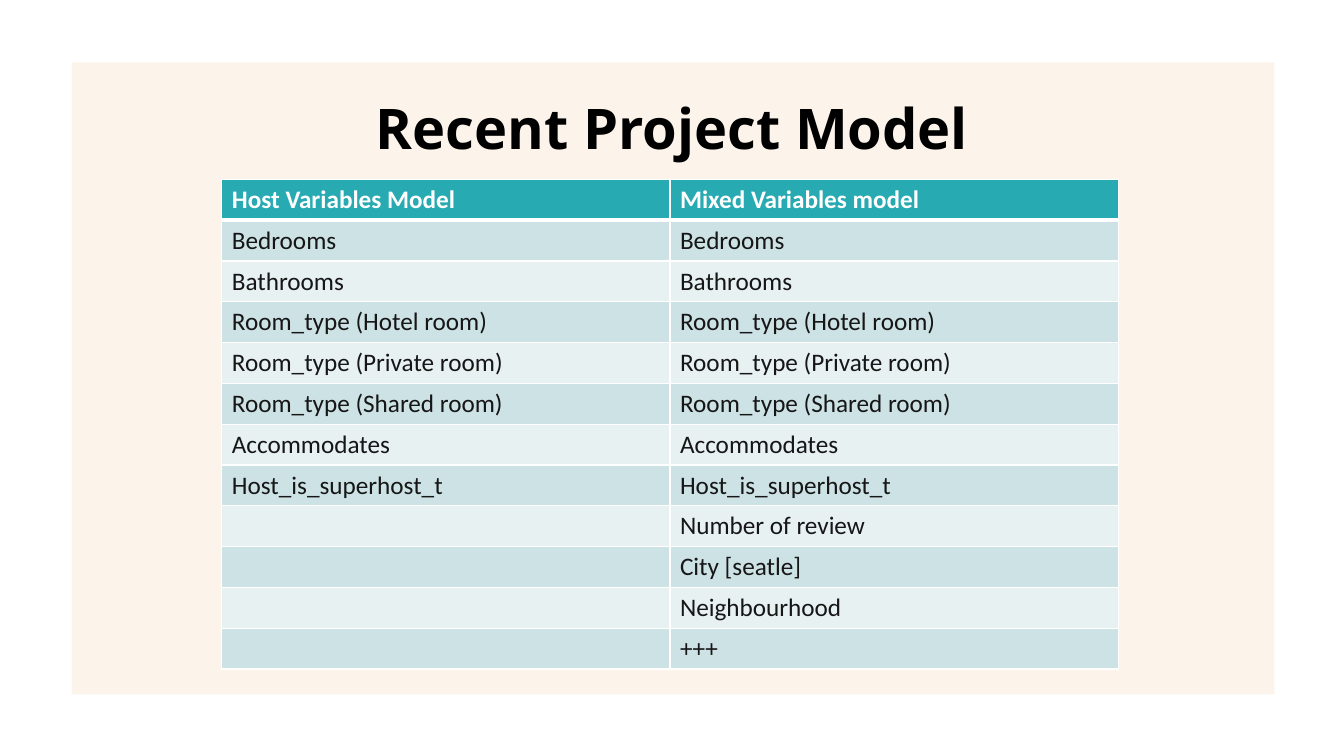
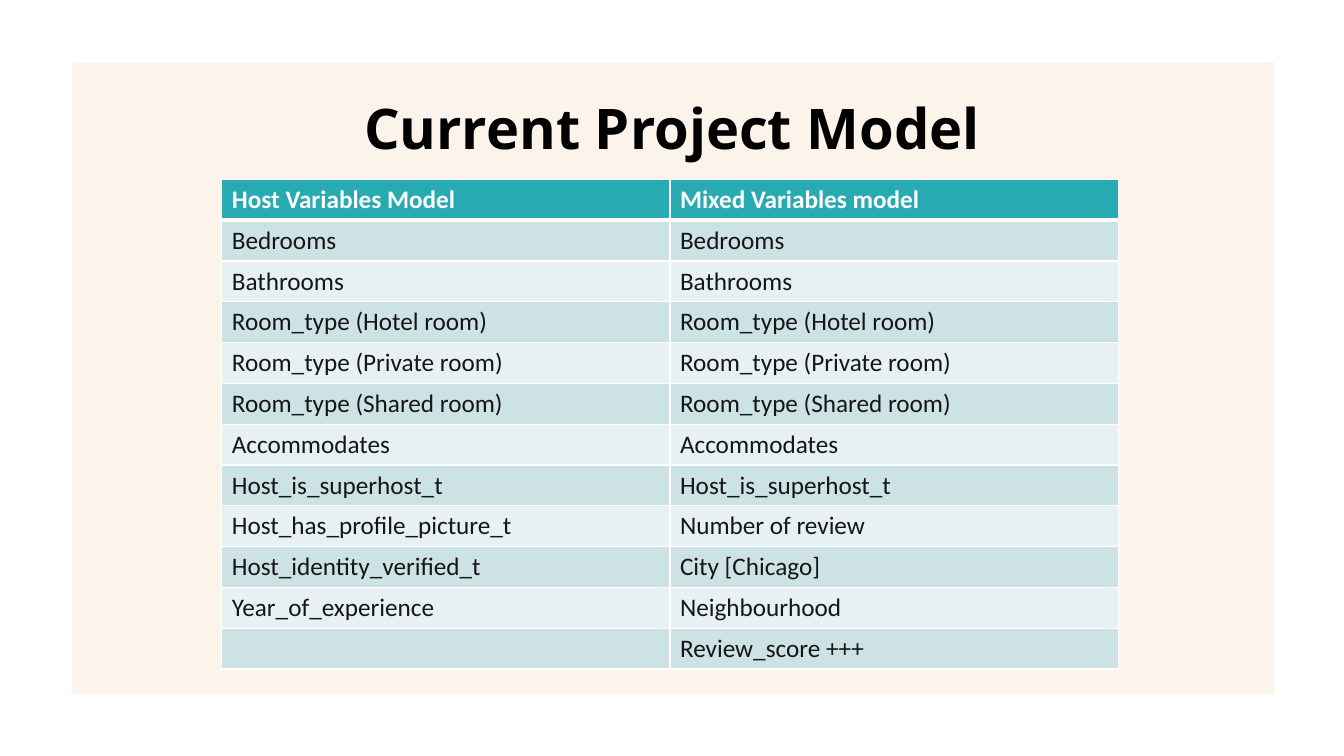
from itertools import zip_longest

from lxml.etree import SubElement
from pptx import Presentation
from pptx.dml.color import RGBColor
from pptx.enum.shapes import MSO_SHAPE
from pptx.enum.text import MSO_ANCHOR, PP_ALIGN
from pptx.oxml.ns import qn
from pptx.util import Inches, Pt

WHITE = RGBColor(0xFF, 0xFF, 0xFF)
BLACK = RGBColor(0x00, 0x00, 0x00)
INK = RGBColor(0x16, 0x16, 0x16)
CREAM = RGBColor(0xFC, 0xF4, 0xEB)
TEAL = RGBColor(0x28, 0xAA, 0xB3)
BANDS = (RGBColor(0xE8, 0xF1, 0xF2), RGBColor(0xCD, 0xE2, 0xE5))

PANEL_BOX = (0.71, 0.62, 11.93, 6.27)
TITLE_BOX = (0.68, 0.88, 11.97, 0.77)
TABLE_BOX = (2.2, 1.78, 8.89, 4.86)

HEADER = ("Host Variables Model", "Mixed Variables model")
SHARED_VARIABLES = [
    "Bedrooms",
    "Bathrooms",
    "Room_type (Hotel room)",
    "Room_type (Private room)",
    "Room_type (Shared room)",
    "Accommodates",
    "Host_is_superhost_t",
]
MODELS = [
    (
        "Recent Project Model",
        [],
        ["Number of review", "City [seatle]", "Neighbourhood", "+++"],
    ),
    (
        "Current Project Model",
        ["Host_has_profile_picture_t", "Host_identity_verified_t", "Year_of_experience"],
        ["Number of review", "City [Chicago]", "Neighbourhood", "Review_score +++"],
    ),
]


def write(tf, text, size=18, font="Calibri", color=INK, bold=False, align=PP_ALIGN.LEFT):
    p = tf.paragraphs[0]
    p.alignment = align
    p.font.size = Pt(size)
    if text:
        r = p.add_run()
        r.text = text
        r.font.size = Pt(size)
        r.font.name = font
        r.font.bold = bold
        r.font.color.rgb = color


def set_borders(cell, **widths):
    tc_pr = cell._tc.get_or_add_tcPr()
    for side in "LRTB":
        ln = SubElement(tc_pr, qn(f"a:ln{side}"), w=str(Pt(widths.get(side, 1))))
        fill = SubElement(ln, qn("a:solidFill"))
        SubElement(fill, qn("a:srgbClr"), val=str(WHITE))


def add_panel(s, box):
    sp = s.shapes.add_shape(MSO_SHAPE.RECTANGLE, *map(Inches, box))
    sp.shadow.inherit = False
    sp.fill.solid()
    sp.fill.fore_color.rgb = CREAM
    sp.line.fill.background()


def add_title(s, box, text):
    tf = s.shapes.add_textbox(*map(Inches, box)).text_frame
    tf.word_wrap = True
    tf.vertical_anchor = MSO_ANCHOR.MIDDLE
    write(tf, text, size=40, font="Open Sans", color=BLACK, bold=True, align=PP_ALIGN.CENTER)


def add_variable_table(s, box, rows):
    table = s.shapes.add_table(len(rows), len(HEADER), *map(Inches, box)).table
    for i, row in enumerate(rows):
        is_header = i == 0
        for j, text in enumerate(row):
            cell = table.cell(i, j)
            set_borders(cell, T=3 if i == 1 else 1, B=3 if is_header else 1)
            cell.fill.solid()
            cell.fill.fore_color.rgb = TEAL if is_header else BANDS[i % 2]
            write(cell.text_frame, text, color=WHITE if is_header else INK, bold=is_header)


def add_model_slide(prs, title, host_extras, mixed_extras):
    s = prs.slides.add_slide(prs.slide_layouts[6])
    add_panel(s, PANEL_BOX)
    add_title(s, TITLE_BOX, title)
    host = SHARED_VARIABLES + host_extras
    mixed = SHARED_VARIABLES + mixed_extras
    add_variable_table(s, TABLE_BOX, [HEADER, *zip_longest(host, mixed, fillvalue="")])


def main():
    prs = Presentation()
    prs.slide_width, prs.slide_height = Inches(13.33), Inches(7.5)
    for title, host_extras, mixed_extras in MODELS:
        add_model_slide(prs, title, host_extras, mixed_extras)
    prs.save("out.pptx")


if __name__ == "__main__":
    main()
